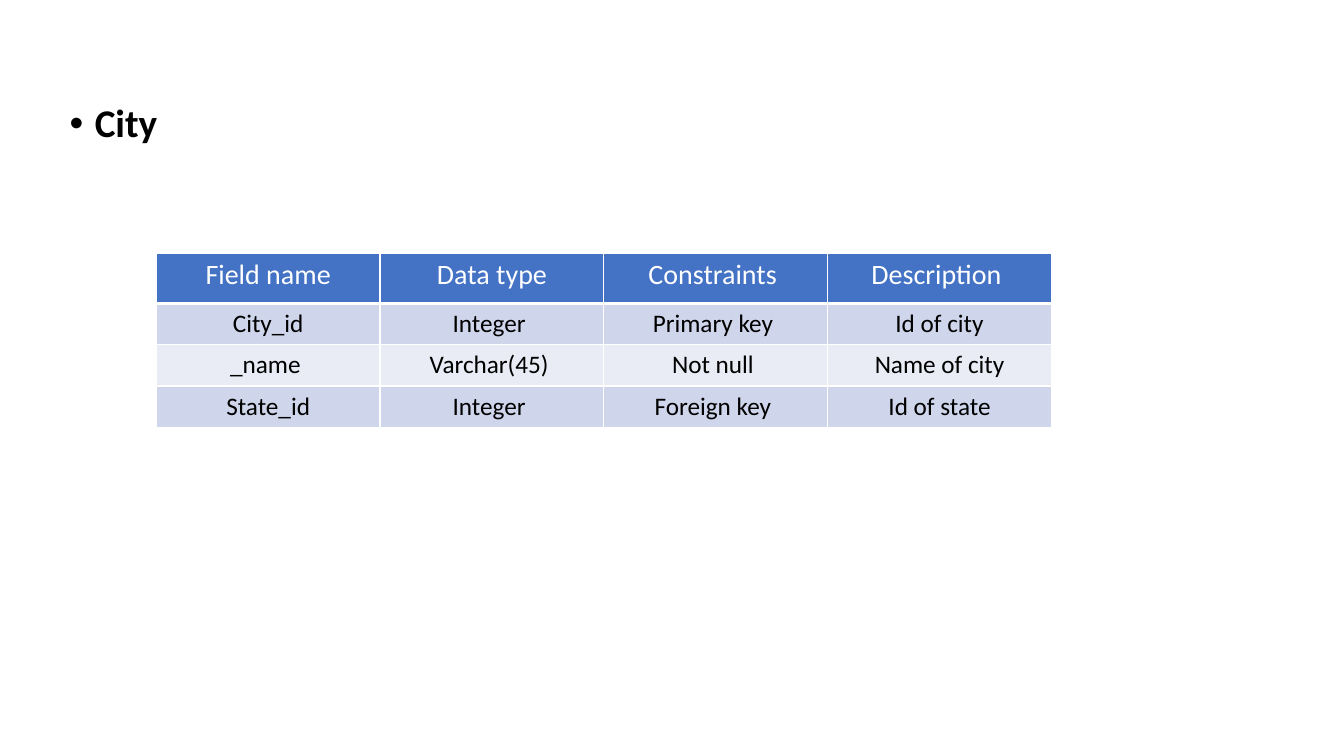
from dataclasses import dataclass

from lxml.etree import SubElement
from pptx import Presentation
from pptx.dml.color import RGBColor
from pptx.enum.text import MSO_AUTO_SIZE, PP_ALIGN
from pptx.oxml.ns import qn
from pptx.util import Pt

SCALE = 9144  # EMU per px, 100 px to the inch
WHITE, BLACK = "FFFFFF", "000000"


@dataclass(frozen=True)
class Band:
    height: int
    fill: str
    cells: tuple[str, ...]
    color: str = BLACK
    size: int = 18
    base: int = 1  # bottom border in points


BANDS = (
    Band(50, "4472C4", ("Field name", "Data type", "Constraints ", "Description "),
         WHITE, 20, 3),
    Band(41, "CFD5EA", ("City_id", "Integer ", "Primary key ", "Id of city")),
    Band(41, "E9EBF5", ("_name ", "Varchar(45) ", "Not null ", "Name of city")),
    Band(41, "CFD5EA", ("State_id", "Integer ", "Foreign key ", "Id of state")),
)
COL = 222


def px(count: int) -> int:
    return count * SCALE


def rgb(code: str) -> RGBColor:
    return RGBColor.from_string(code)


def style(font, color: str, size: int, bold: bool = False) -> None:
    for name, value in {"name": "Calibri", "size": Pt(size), "bold": bold}.items():
        setattr(font, name, value)
    font.color.rgb = rgb(color)


def edge(cell, base: int) -> None:
    """Draw white borders, the bottom one base points wide."""
    props = cell._tc.get_or_add_tcPr()
    for tag, width in {"lnL": 1, "lnR": 1, "lnT": 1, "lnB": base}.items():
        line = SubElement(props, qn(f"a:{tag}"), w=str(Pt(width)))
        fill = SubElement(line, qn("a:solidFill"))
        SubElement(fill, qn("a:srgbClr"), val=WHITE)


def add_list(slide, text: str) -> None:
    body = slide.placeholders[1]
    place = {"left": 59, "top": 98, "width": 1150, "height": 476}
    for name, value in place.items():
        setattr(body, name, px(value))
    frame = body.text_frame
    frame.auto_size = MSO_AUTO_SIZE.NONE
    para = frame.paragraphs[0]
    para.text = text
    props = para._p.get_or_add_pPr()
    props.set("marL", str(px(25)))
    props.set("indent", str(px(-25)))
    para.line_spacing = 0.9
    para.space_before = Pt(0)
    SubElement(props, qn("a:buFont"), typeface="Arial")
    SubElement(props, qn("a:buChar"), char="•")
    style(para.runs[0].font, BLACK, 28, True)


def add_grid(slide, bands: tuple[Band, ...]) -> None:
    count = len(bands[0].cells)
    tall = sum(band.height for band in bands)
    table = slide.shapes.add_table(
        len(bands), count, px(155), px(251), px(COL * count), px(tall)).table
    for row, band in zip(table.rows, bands):
        row.height = px(band.height)
        for cell, text in zip(row.cells, band.cells):
            edge(cell, band.base)
            cell.fill.solid()
            cell.fill.fore_color.rgb = rgb(band.fill)
            cell.text = text
            para = cell.text_frame.paragraphs[0]
            para.alignment = PP_ALIGN.CENTER
            style(para.runs[0].font, band.color, band.size)


def main() -> None:
    deck = Presentation()
    deck.slide_width, deck.slide_height = px(1333), px(750)
    slide = deck.slides.add_slide(deck.slide_layouts[1])
    title = slide.shapes.title.element
    title.getparent().remove(title)
    add_list(slide, "City")
    add_grid(slide, BANDS)
    deck.save("out.pptx")


if __name__ == "__main__":
    main()
